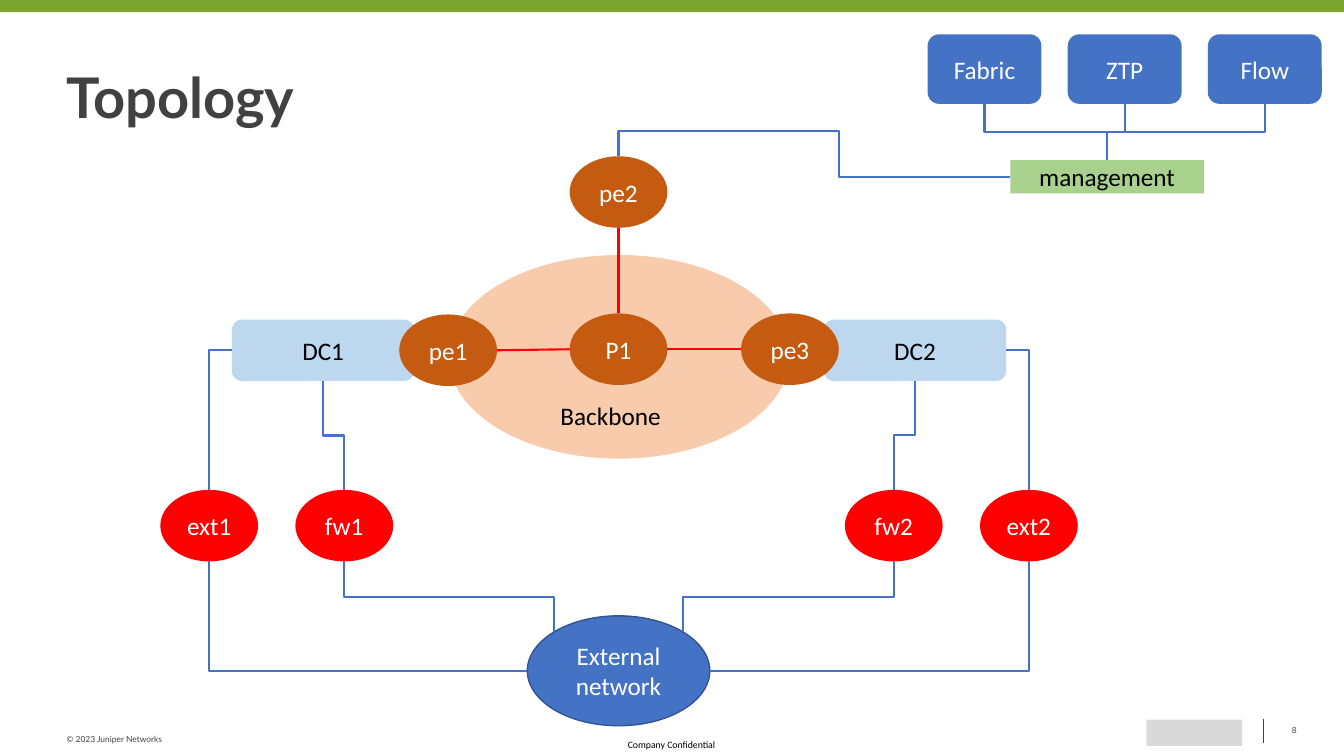
import pptx
import pptx.util
import pptx.dml.color
import pptx.enum.shapes
import pptx.enum.text
import pptx.oxml
import pptx.oxml.ns

PX = 9144
PRESET = pptx.enum.shapes.MSO_SHAPE
CONNECTOR = pptx.enum.shapes.MSO_CONNECTOR
ALIGN = pptx.enum.text.PP_ALIGN
ANCHOR = pptx.enum.text.MSO_ANCHOR
FIT = pptx.enum.text.MSO_AUTO_SIZE
TOP, LEFT, BOTTOM, RIGHT = (0.5, 0), (0, 0.5), (0.5, 1), (1, 0.5)
TOP_LEFT, TOP_RIGHT = (0.146, 0.146), (0.854, 0.146)
NODE = (97, 71)
BLUE, BROWN, RED = "4472C4", "C55A11", "FF0000"
GREY, BLACK, WHITE = "414141", "000000", "FFFFFF"
FLUSH = dict(margin_left=0, margin_top=0, margin_right=0, margin_bottom=0)


def colour(value):
    return pptx.dml.color.RGBColor.from_string(value)


def assign(target, values):
    for name, value in values.items():
        setattr(target, name, value)


def write(frame, text, size, ink, font="Calibri", bold=False, frame_format={}, para_format={}):
    assign(frame, frame_format)
    para = frame.paragraphs[0]
    assign(para, para_format)
    span = para.add_run()
    span.text = text
    assign(span.font, dict(name=font, size=pptx.util.Pt(size), bold=bold))
    span.font.color.rgb = colour(ink)


def add_label(page, box, text, size, ink, font="Calibri", frame_format={}, para_format={}):
    label = page.shapes.add_textbox(*(PX * length for length in box))
    write(label.text_frame, text, size, ink, font, False, frame_format, para_format)


def add_block(page, preset, box, fill, text="", ink=WHITE, outline=None):
    shape = page.shapes.add_shape(preset, *(PX * length for length in box))
    shape.shadow.inherit = False
    shape.fill.solid()
    shape.fill.fore_color.rgb = colour(fill)
    if outline:
        shape.line.color.rgb = colour(outline)
        shape.line.width = pptx.util.Pt(1)
    else:
        shape.line.fill.background()
    if text:
        write(shape.text_frame, text, 18, ink,
              frame_format=dict(word_wrap=True, vertical_anchor=ANCHOR.MIDDLE),
              para_format=dict(alignment=ALIGN.CENTER))
    return shape


def anchor_point(shape, side):
    return shape.left + shape.width * side[0], shape.top + shape.height * side[1]


def add_line(page, kind, begin, end, ink, width=1.5):
    line = page.shapes.add_connector(kind, *(round(length) for length in (*begin, *end)))
    line.line.color.rgb = colour(ink)
    line.line.width = pptx.util.Pt(width)
    line.element.spPr.append(pptx.oxml.parse_xml(
        "<a:effectLst %s/>" % pptx.oxml.ns.nsdecls("a")))
    return line


def link_straight(page, first, first_side, last, last_side):
    add_line(page, CONNECTOR.STRAIGHT, anchor_point(first, first_side),
             anchor_point(last, last_side), RED)


def link_elbow(page, first, first_side, last, last_side, preset, adjustments=()):
    line = add_line(page, CONNECTOR.ELBOW, anchor_point(first, first_side),
                    anchor_point(last, last_side), BLUE)
    geometry = line.element.spPr.find(pptx.oxml.ns.qn("a:prstGeom"))
    geometry.set("prst", preset)
    for number, value in enumerate(adjustments, 1):
        guide = geometry.get_or_add_avLst()._add_gd()
        guide.set("name", "adj%d" % number)
        guide.set("fmla", "val %d" % value)


def link_drop(page, first, first_side, last, last_side):
    x1, y1 = anchor_point(first, first_side)
    x2, y2 = anchor_point(last, last_side)
    middle_x, middle_y = (x1 + x2) / 2, (y1 + y2) / 2
    half_run, half_drop = (x2 - x1) / 2, (y2 - y1) / 2
    line = add_line(page, CONNECTOR.ELBOW, (middle_x - half_drop, middle_y + half_run),
                    (middle_x + half_drop, middle_y - half_run), BLUE)
    line.rotation = 90


def build_header(page, box):
    left, top, width, height = box
    add_block(page, PRESET.RECTANGLE, (left, top, width, 12), "7CA630")
    title = page.shapes.title
    assign(title, dict(left=PX * (left + 66), top=PX * (top + 14),
                       width=PX * (width - 122), height=PX * (height - 14)))
    write(title.text_frame, "Topology", 40, GREY, "Lato", True,
          dict(FLUSH, vertical_anchor=ANCHOR.BOTTOM, auto_size=FIT.NONE, word_wrap=True),
          dict(alignment=ALIGN.LEFT, line_spacing=0.9))


def build_footer(page, box):
    left, top, width, height = box
    add_label(page, (left + 66, top + 16, 118, 9), "© 2023 Juniper Networks", 6, GREY, "Lato",
              dict(FLUSH, word_wrap=True), dict(line_spacing=0.9))
    add_label(page, (left + 614, top + 14, 104, 23), "Company Confidential", 7, BLACK,
              frame_format=dict(FLUSH, word_wrap=True, vertical_anchor=ANCHOR.MIDDLE),
              para_format=dict(alignment=ALIGN.CENTER))
    add_label(page, (left + 1255, top + 6, 31, 10), "8", 6, GREY, "Lato",
              dict(FLUSH, word_wrap=True), dict(alignment=ALIGN.RIGHT))
    add_block(page, PRESET.RECTANGLE, (left + 1137, top + 1, 95, 26), "D9D9D9")
    divider = PX * (left + 1253)
    add_line(page, CONNECTOR.STRAIGHT, (divider, PX * top), (divider, PX * (top + 24)), GREY, 0.5)


def build_management(page, box):
    left, top, width, height = box
    network = add_block(page, PRESET.RECTANGLE, (left + 82, top + height - 33, 192, 33),
                        "A9D18E", "management", BLACK)
    tool_width = 113
    for index, name in enumerate(("Fabric", "ZTP", "Flow")):
        tool_left = left + index * (width - tool_width) // 2
        tool = add_block(page, PRESET.ROUNDED_RECTANGLE, (tool_left, top, tool_width, 69), BLUE, name)
        link_drop(page, tool, BOTTOM, network, TOP)
    return network


def build_backbone(page, box):
    left, top, width, height = box
    add_block(page, PRESET.OVAL, (left + 49, top + 98, width - 98, 202), "F8CBAD")
    add_label(page, (left + 150, top + 237, 121, 40), "Backbone", 18, BLACK,
              frame_format=dict(word_wrap=False, auto_size=FIT.SHAPE_TO_FIT_TEXT))


def build_routers(page, box):
    left, top, width, height = box
    middle, far = (width - NODE[0]) // 2, width - NODE[0]
    places = {"pe2": (middle, 0), "P1": (middle, 156), "pe1": (0, 157), "pe3": (far, 156)}
    routers = {name: add_block(page, PRESET.OVAL, (left + x, top + y, *NODE), BROWN, name)
               for name, (x, y) in places.items()}
    for name, near, facing in (("pe1", LEFT, RIGHT), ("pe2", TOP, BOTTOM), ("pe3", RIGHT, LEFT)):
        link_straight(page, routers["P1"], near, routers[name], facing)
    return routers


def build_data_centre(page, box, number, mirrored):
    left, top, width, height = box

    def place(x, y, part_width, part_height):
        across = width - x - part_width if mirrored else x
        return left + across, top + y, part_width, part_height

    centre = add_block(page, PRESET.ROUNDED_RECTANGLE, place(71, 0, 181, 61),
                       "BDD7EE", f"DC{number}", BLACK)
    gateway, firewall = [
        add_block(page, PRESET.OVAL, place(x, height - NODE[1], *NODE), RED, f"{name}{number}")
        for x, name in ((0, "ext"), (134, "fw"))]
    link_elbow(page, centre, RIGHT if mirrored else LEFT, gateway, TOP, "bentConnector2")
    link_drop(page, centre, BOTTOM, firewall, TOP)
    return gateway, firewall


def build_external(page, box, sites):
    external = add_block(page, PRESET.OVAL, box, BLUE, "External network", outline="325491")
    sides = ((LEFT, TOP_LEFT), (RIGHT, TOP_RIGHT))
    for (gateway, firewall), (side, shoulder) in zip(sites, sides):
        link_elbow(page, external, side, gateway, BOTTOM, "bentConnector2")
        link_drop(page, firewall, BOTTOM, external, shoulder)


def build_topology(page):
    build_header(page, (0, 0, 1333, 130))
    build_footer(page, (0, 713, 1333, 37))
    backbone_box = (396, 155, 436, 300)
    build_backbone(page, backbone_box)
    sites = [build_data_centre(page, (left, 317, 252, 240), number, number == 2)
             for number, left in ((1, 159), (2, 817))]
    routers = build_routers(page, backbone_box)
    network = build_management(page, (920, 34, 391, 158))
    link_elbow(page, network, LEFT, routers["pe2"], TOP, "bentConnector4", (43800, 224000))
    build_external(page, (523, 611, 181, 109), sites)


def main():
    deck = pptx.Presentation()
    assign(deck, dict(slide_width=PX * 1333, slide_height=PX * 750))
    build_topology(deck.slides.add_slide(deck.slide_layouts[5]))
    deck.save("out.pptx")


if __name__ == "__main__":
    main()
